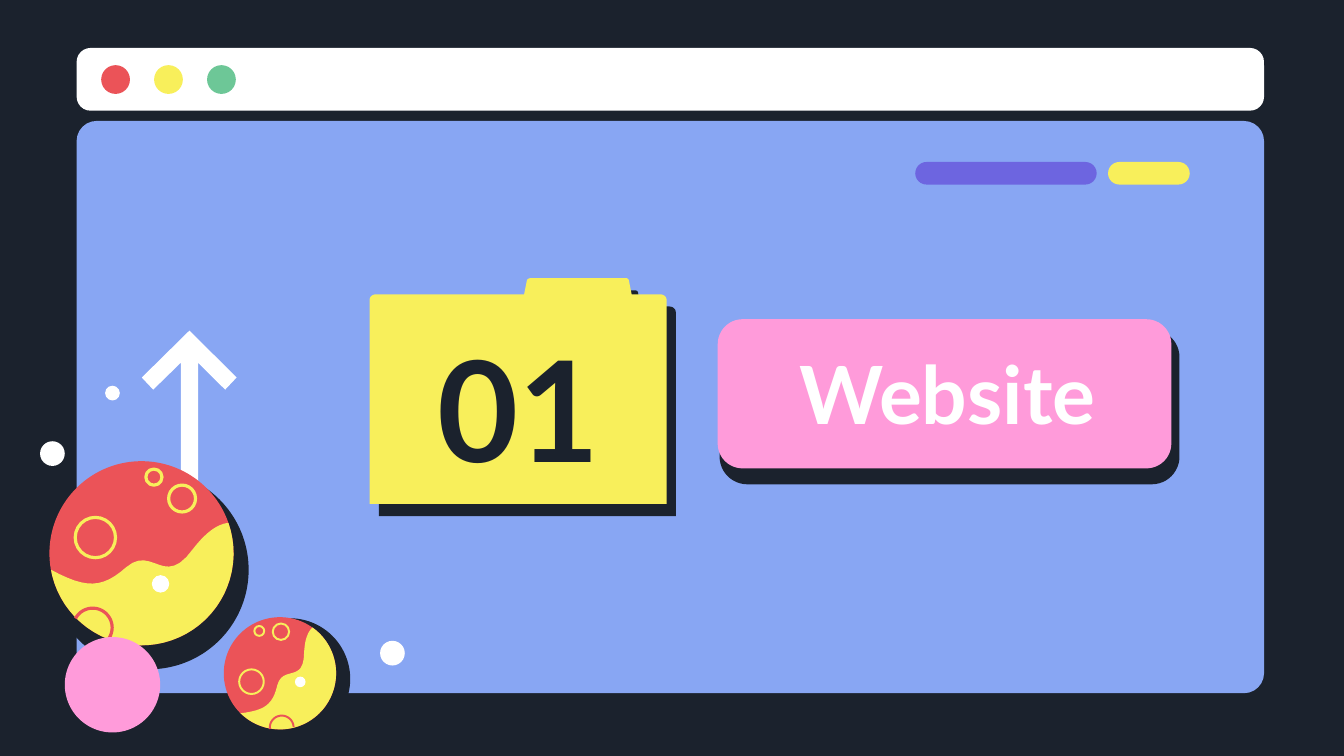
"""Build the section slide: a browser window with a folder, a title button and two planets."""
from math import cos, radians, sin

from lxml import etree
from pptx import Presentation
from pptx import util as u
from pptx.dml.color import RGBColor
from pptx.enum import shapes, text

theme = {
    "ink": "1B222D", "sky": "88A6F3", "white": "FFFFFF", "red": "EB5358",
    "sun": "F8EF5B", "green": "6DC797", "plum": "6D65E0", "pink": "FF9BDA",
    "font": "Lato", "digit": 75, "title": 43,
}
deck = Presentation()
deck.slide_width, deck.slide_height = u.Inches(10), u.Emu(u.Inches(10) * 9 // 16)
slide = deck.slides.add_slide(deck.slide_layouts[6])
grid = deck.slide_width / 100
kinds = shapes.MSO_SHAPE


def paint(shape, fill=None, line=None, width=1):
    shape.shadow.inherit = False
    if fill:
        shape.fill.solid()
        shape.fill.fore_color.rgb = RGBColor.from_string(theme[fill])
    else:
        shape.fill.background()
    if line:
        shape.line.color.rgb = RGBColor.from_string(theme[line])
        shape.line.width = u.Pt(width)
    else:
        shape.line.fill.background()
    return shape


def trace(steps, closed=True):
    dots = [steps[0][0]]
    for step in steps[1:]:
        if len(step) == 1:
            dots.append(step[0])
            continue
        a, (b, c, d) = dots[-1], step
        for n in range(1, 13):
            t = n / 12
            s = 1 - t
            dots.append(a * s**3 + 3 * b * s * s * t + 3 * c * s * t * t + d * t**3)
    pairs = [(p.real * grid, p.imag * grid) for p in dots]
    pen = slide.shapes.build_freeform(*pairs[0])
    pen.add_line_segments(pairs[1:], close=closed)
    return pen.convert_to_shape()


slide.background.fill.solid()
slide.background.fill.fore_color.rgb = RGBColor.from_string(theme["ink"])

panels = [
    (5.7, 9, 88.35, 42.58, 0.035, "sky", None),
    (5.7, 3.57, 88.35, 4.67, 0.223, "white", None),
    (68.1, 12.05, 13.5, 1.68, 0.5, "plum", None),
    (82.45, 12.05, 6.08, 1.68, 0.5, "sun", None),
    (53.75, 24.73, 33.8, 11.1, 0.167, "ink", "ink"),
    (53.4, 23.75, 33.75, 11.1, 0.167, "pink", None),
]
for x, y, w, h, bend, fill, line in panels:
    panel = slide.shapes.add_shape(kinds.ROUNDED_RECTANGLE, *[int(v * grid) for v in (x, y, w, h)])
    panel.adjustments[0] = bend
    paint(panel, fill, line, 3)

arrow = [13.45 + 42.9j, 13.45 + 27j, 11.4 + 29j, 10.55 + 28.1j, 14.1 + 24.6j,
         17.6 + 28.1j, 16.75 + 29j, 14.75 + 27j, 14.75 + 42.9j]
paint(trace([(p,) for p in arrow]), "white")

folder = paint(trace([
    (49.6 + 22.3j,), (49.6 + 37.5j,), (27.5 + 37.5j,), (27.5 + 22.3j,),
    (27.5 + 22.1j, 27.7 + 21.9j, 28 + 21.9j), (39 + 21.9j,), (39.2 + 20.9j,),
    (39.2 + 20.8j, 39.3 + 20.7j, 39.5 + 20.7j), (46.6 + 20.7j,),
    (46.7 + 20.7j, 46.8 + 20.8j, 46.8 + 20.9j), (47 + 21.9j,), (49.1 + 21.9j,),
    (49.4 + 21.9j, 49.6 + 22.1j, 49.6 + 22.3j),
]), "sun")
space = "http://schemas.openxmlformats.org/drawingml/2006/main"
glow = folder.element.spPr.find(f"{{{space}}}effectLst")
cast = etree.SubElement(glow, f"{{{space}}}outerShdw", dist=str(u.Pt(8.2)),
                        dir=str(53 * 60000), algn="bl", rotWithShape="0")
etree.SubElement(cast, f"{{{space}}}srgbClr", val=theme["ink"])

labels = [
    ("01", 30.1, 25.3, 17, 9.9, "digit", "ink"),
    ("Website", 54.55, 24.6, 31.9, 9.2, "title", "white"),
]
for words, x, y, w, h, size, tone in labels:
    frame = slide.shapes.add_textbox(*[int(v * grid) for v in (x, y, w, h)]).text_frame
    frame.text = words
    frame.word_wrap = True
    frame.vertical_anchor = text.MSO_ANCHOR.MIDDLE
    frame.margin_left = frame.margin_right = frame.margin_top = frame.margin_bottom = u.Inches(0.1)
    line = frame.paragraphs[0]
    line.alignment = text.PP_ALIGN.CENTER
    font = line.runs[0].font
    font.name, font.size, font.bold = theme["font"], u.Pt(theme[size]), True
    font.color.rgb = RGBColor.from_string(theme[tone])

home, reach = 10.53 + 41.17j, 6.85
land = [
    (3.8 + 42.4j,), (6.4 + 43.8j, 7.6 + 43.8j, 9.4 + 42.2j),
    (11.4 + 40.5j, 12.2 + 43.9j, 14.4 + 40.8j), (15.5 + 39.4j, 16.3 + 39j, 17 + 38.9j),
]
land += [(home + reach * complex(cos(radians(a)), sin(radians(a))),) for a in range(-19, 170, 5)]
cove = [(6.9 + 46.7j + 1.45 * complex(cos(radians(a)), sin(radians(a))),) for a in range(208, 393, 8)]

dots = [(8.6 + 3.94 * n + 5.92j, 1.07, tone, None) for n, tone in enumerate(("red", "sun", "green"))]
dots += [(3.9 + 33.75j, 0.92, "white", None), (29.2 + 48.6j, 0.92, "white", None),
         (8.37 + 29.25j, 0.55, "white", None)]
planet = [
    (11.1 + 42.4j, 7.4, "ink", None), (home, reach, "red", None),
    (7.1 + 40j, 1.5, None, "sun"), (13.55 + 37.1j, 1, None, "sun"), (11.45 + 35.5j, 0.6, None, "sun"),
    (land, True, "sun", None), (cove, False, None, "red"), (11.95 + 43.45j, 0.65, "white", None),
]
moon = [(8.37 + 50.95j, 3.55, "pink", None)]

scenes = [(dots, home, 1, 0), (planet, home, 1, 0), (moon, home, 1, 0),
          (planet, 20.83 + 50.1j, 0.61, -35.2)]
for parts, hub, scale, turn in scenes:
    spin = scale * complex(cos(radians(turn)), sin(radians(turn)))
    for spot, size, fill, edge in parts:
        if isinstance(spot, list):
            form = trace([tuple(hub + (p - home) * spin for p in step) for step in spot], size)
        else:
            mid, r = hub + (spot - home) * spin, size * scale
            box = (mid.real - r, mid.imag - r, 2 * r, 2 * r)
            form = slide.shapes.add_shape(kinds.OVAL, *[int(v * grid) for v in box])
        paint(form, fill, edge, 1.7 * scale)

deck.save("out.pptx")
